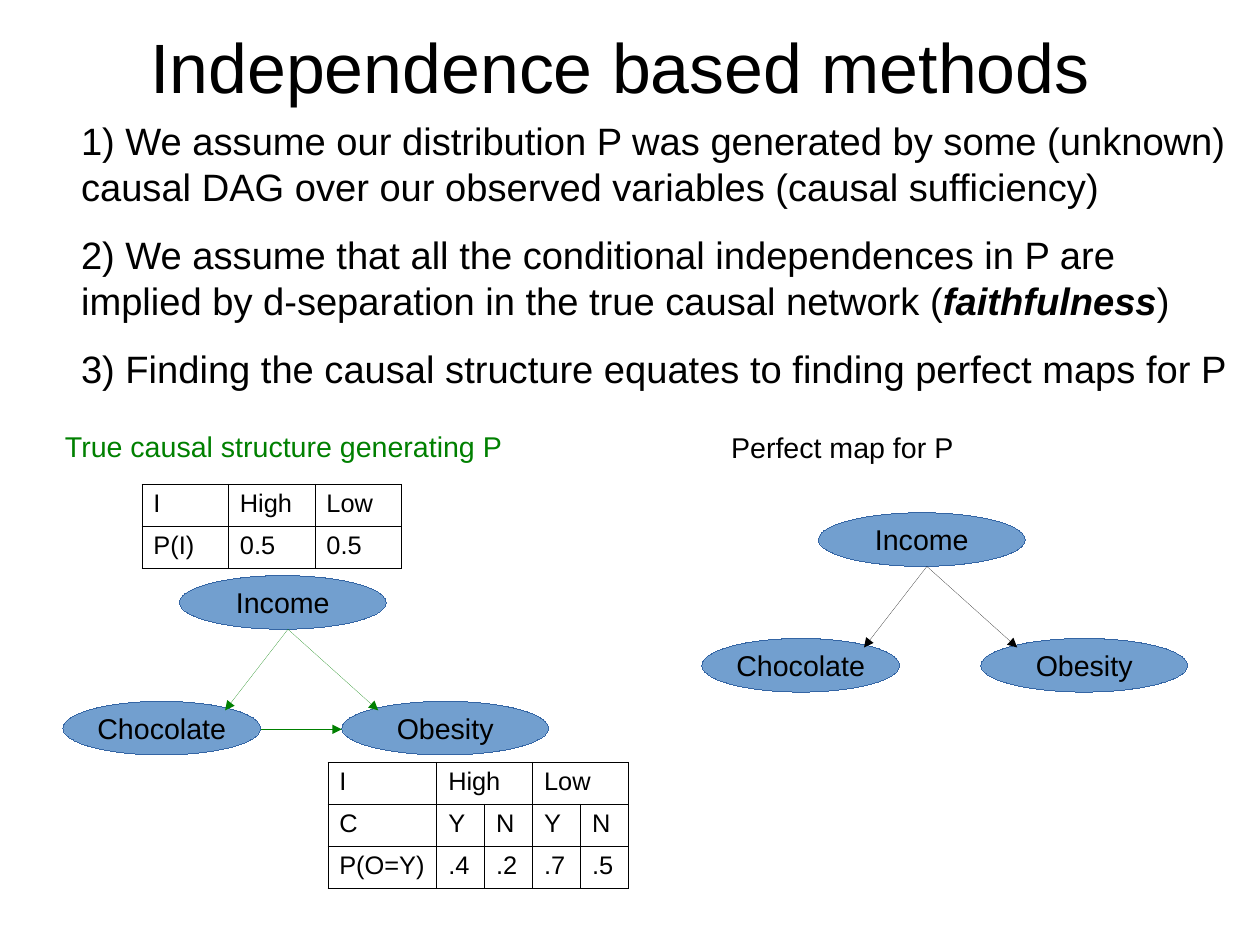
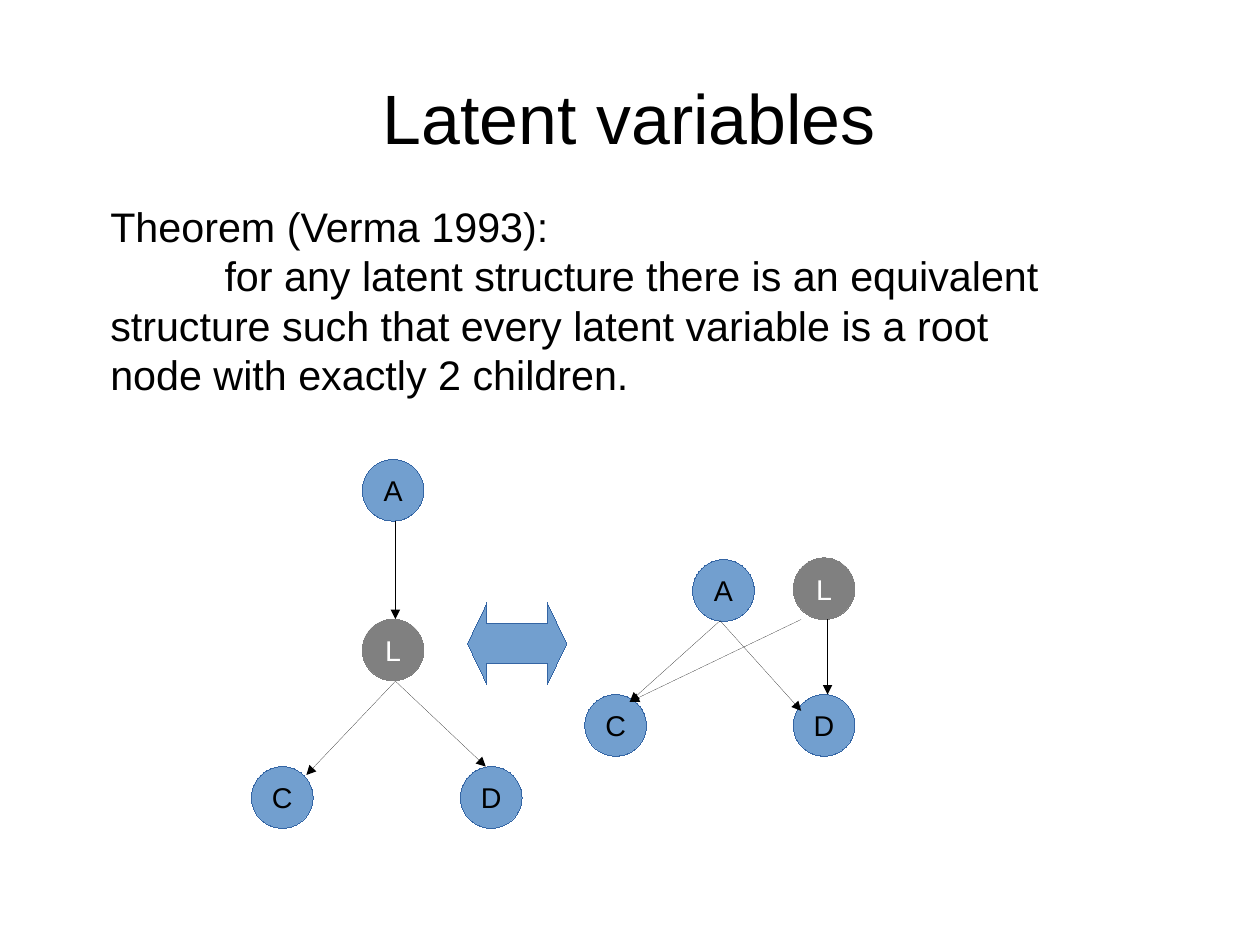
"""Build two slides on independence based methods and latent variables."""
from lxml import etree
from pptx import Presentation
from pptx import util as u
from pptx.dml import color
from pptx.enum import shapes, text
from pptx.oxml import ns

FONT = "Arial"
COLORS = {"black": "000000", "white": "FFFFFF", "green": "008000",
          "blue": "729FCF", "edge": "3465A4", "grey": "808080"}
CELL_BORDER = 0.57
CIRCLE = 38.9
OVAL_HEIGHT = 33.8


def rgb(name):
    return color.RGBColor.from_string(COLORS[name])


def points(*values):
    return [u.Pt(value) for value in values]


def write(frame, lines, size, ink="black", align=text.PP_ALIGN.LEFT, after=0):
    for index, line in enumerate(lines):
        para = frame.paragraphs[0] if index == 0 else frame.add_paragraph()
        para.alignment = align
        para.space_after = u.Pt(after)
        for position, part in enumerate(line.split("*")):
            span = para.add_run()
            span.text = part
            span.font.name = FONT
            span.font.size = u.Pt(size)
            span.font.color.rgb = rgb(ink)
            span.font.bold = span.font.italic = position % 2 == 1


def add_text(page, bounds, lines, size, **style):
    box = page.shapes.add_textbox(*points(*bounds))
    box.text_frame.word_wrap = True
    write(box.text_frame, lines, size, **style)
    return box.text_frame


def add_title(page, left, top, title):
    frame = add_text(page, (left, top, 714.2, 99.4), [title], 44,
                     align=text.PP_ALIGN.CENTER)
    frame.vertical_anchor = text.MSO_ANCHOR.MIDDLE
    frame.margin_left = frame.margin_right = 0
    frame.margin_top = frame.margin_bottom = 0


def set_hairline(figure, ink):
    figure.line.color.rgb = rgb(ink)
    line = figure.line._get_or_add_ln()
    line.set("w", "0")
    return line


def add_figure(page, kind, bounds, fill="blue", edge="edge"):
    figure = page.shapes.add_shape(kind, *points(*bounds))
    figure.shadow.inherit = False
    figure.fill.solid()
    figure.fill.fore_color.rgb = rgb(fill)
    set_hairline(figure, edge)
    return figure


def add_node(page, label, bounds, fill="blue", edge="edge", ink="black"):
    node = add_figure(page, shapes.MSO_SHAPE.OVAL, bounds, fill, edge)
    node.text_frame.word_wrap = False
    node.text_frame.vertical_anchor = text.MSO_ANCHOR.MIDDLE
    write(node.text_frame, [label], 18, ink, text.PP_ALIGN.CENTER)


def add_arrow(page, start, end, ink="black"):
    arrow = page.shapes.add_connector(shapes.MSO_CONNECTOR.STRAIGHT,
                                      *points(*start, *end))
    line = set_hairline(arrow, ink)
    etree.SubElement(line, ns.qn("a:tailEnd"), type="triangle")
    etree.SubElement(arrow._element.spPr, ns.qn("a:effectLst"))


def set_borders(cell):
    properties = cell._tc.get_or_add_tcPr()
    for index, side in enumerate(("a:lnL", "a:lnR", "a:lnT", "a:lnB")):
        border = etree.Element(ns.qn(side), w=str(u.Pt(CELL_BORDER)))
        fill = etree.SubElement(border, ns.qn("a:solidFill"))
        etree.SubElement(fill, ns.qn("a:srgbClr"), val=COLORS["black"])
        properties.insert(index, border)


def add_grid(page, left, top, widths, row_height, rows, merges=()):
    bounds = points(left, top, sum(widths), row_height * len(rows))
    table = page.shapes.add_table(len(rows), len(widths), *bounds).table
    table.first_row = table.horz_banding = False
    for column, width in zip(table.columns, widths):
        column.width = u.Pt(width)
    for row, labels in zip(table.rows, rows):
        row.height = u.Pt(row_height)
        for cell, label in zip(row.cells, labels):
            cell.fill.background()
            set_borders(cell)
            if label:
                write(cell.text_frame, [label], 16)
    for row, first, last in merges:
        table.cell(row, first).merge(table.cell(row, last))


def add_causal_graph(page, left, top, ink):
    nodes = (("Income", 73.4, 0, 130.3), ("Chocolate", 0, 79.2, 124.6),
             ("Obesity", 175.7, 79.2, 130.3))
    for label, x, y, width in nodes:
        add_node(page, label, (left + x, top + y, width, OVAL_HEIGHT))
    for x in (102.2, 198.7):
        add_arrow(page, (left + 141.8, top + OVAL_HEIGHT),
                  (left + x, top + 84.9), ink)


def add_latent_graph(page, nodes, arrows):
    for label, left, top in nodes:
        style = ("grey", "grey", "white") if label == "L" else ()
        add_node(page, label, (left, top, CIRCLE, CIRCLE), *style)
    for start, end in arrows:
        add_arrow(page, start, end)


def build_methods(page):
    add_title(page, 33.8, -8.6, "Independence based methods")
    body = add_text(page, (17.3, 73.8, 765.4, 231.8), [
        "1) We assume our distribution P was generated by some (unknown) "
        "causal DAG over our observed variables (causal sufficiency)",
        "2) We assume that all the conditional independences in P are implied "
        "by d-separation in the true causal network (*faithfulness*)",
        "3) Finding the causal structure equates to finding perfect maps for P",
    ], 24, after=14.2)
    body.margin_left = u.Pt(33.8)
    body.margin_right = body.margin_top = body.margin_bottom = 0

    add_text(page, (33.8, 266.4, 306, 27.4),
             ["True causal structure generating P"], 18, ink="green")
    add_causal_graph(page, 39.6, 362.6, "green")
    add_arrow(page, (164.2, 459.4), (215.3, 459.4), "green")
    add_grid(page, 89.5, 305, [54.5] * 3, 26.2,
             [["I", "High", "Low"], ["P(I)", "0.5", "0.5"]])
    add_grid(page, 206.6, 480.2, [68.6] + [30.2] * 4, 25.4,
             [["I", "High", "", "Low", ""], ["C", "Y", "N", "Y", "N"],
              ["P(O=Y)", ".4", ".2", ".7", ".5"]],
             merges=[(0, 1, 2), (0, 3, 4)])

    add_text(page, (453.5, 267.4, 283.7, 27.4), ["Perfect map for P"], 18)
    add_causal_graph(page, 442.1, 323, "black")


def build_latent(page):
    add_title(page, 39.6, 23.8, "Latent variables")
    theorem = add_text(page, (62.4, 122.9, 612, 123.8), [
        "Theorem (Verma 1993):",
        "for any latent structure there is an equivalent structure such that "
        "every latent variable is a root node with exactly 2 children.",
    ], 26)
    statement = theorem.paragraphs[1]._p.get_or_add_pPr()
    statement.set("indent", str(u.Pt(72)))

    add_latent_graph(page, [
        ("A", 228.2, 289.4), ("L", 228.2, 390),
        ("C", 158.4, 482.9), ("D", 290, 482.9),
    ], [
        ((249.1, 328.3), (249.1, 390)),
        ((249.1, 429.1), (193, 488.2)),
        ((249.1, 429.1), (306, 482.9)),
    ])
    add_latent_graph(page, [
        ("A", 436.3, 352.5), ("L", 499.7, 351.4),
        ("C", 368.4, 437.5), ("D", 499.7, 437.5),
    ], [
        ((453.6, 391), (396.7, 442.1)),
        ((453.6, 391), (504.7, 447.8)),
        ((504.7, 390.2), (396.7, 442.1)),
        ((521.3, 390.2), (521.3, 437.5)),
    ])
    equivalence = add_figure(page, shapes.MSO_SHAPE.LEFT_RIGHT_ARROW,
                             (294.5, 379.8, 62.6, 51.1))
    equivalence.adjustments[0] = 0.5
    equivalence.adjustments[1] = 0.24


def main():
    deck = Presentation()
    deck.slide_width, deck.slide_height = points(793.7, 595.28)
    for build in (build_methods, build_latent):
        build(deck.slides.add_slide(deck.slide_layouts[6]))
    deck.save("out.pptx")


if __name__ == "__main__":
    main()
